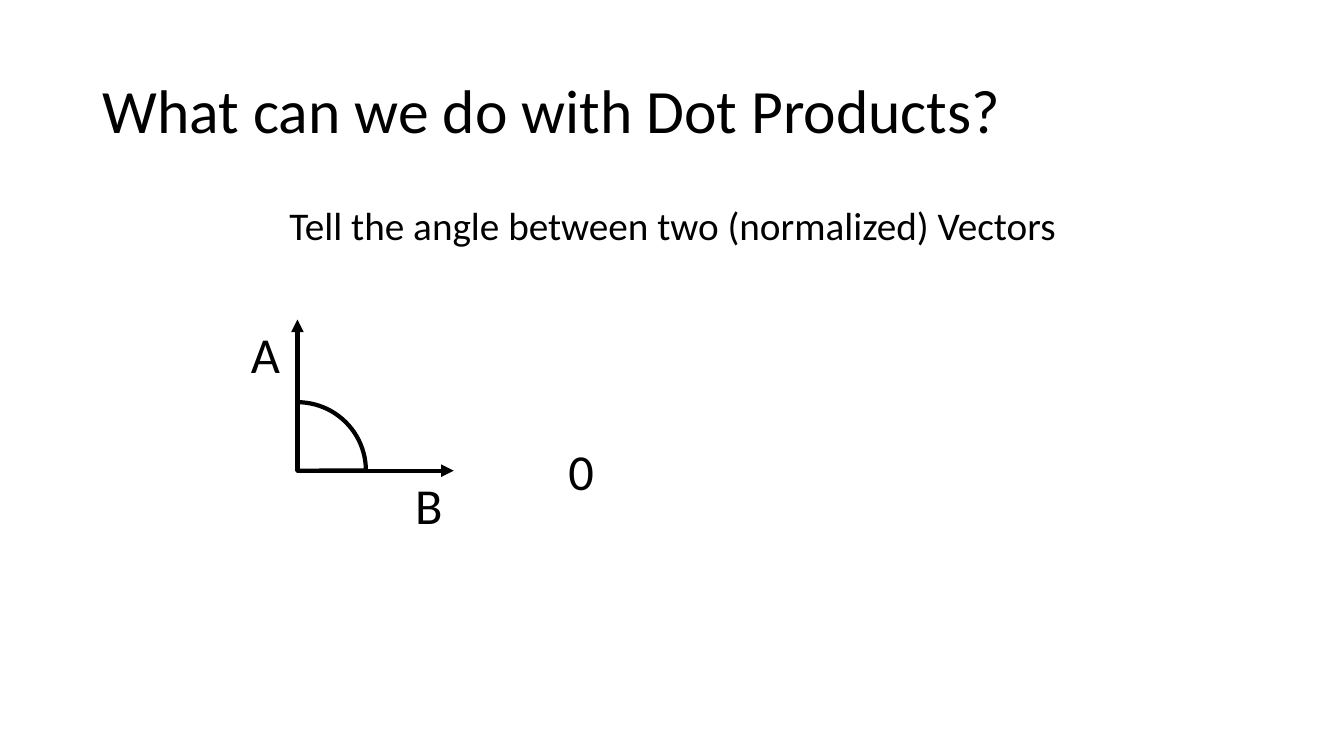
from dataclasses import dataclass

from lxml import etree
from pptx import Presentation
from pptx import util as u
from pptx.dml.color import RGBColor
from pptx.enum import shapes, text
from pptx.oxml.ns import qn

PX = 9144  # EMU per px, 100 px to the inch


@dataclass(frozen=True)
class Theme:
    font: str = "Calibri"
    ink: str = "000000"
    paper: str = "FFFFFF"
    title: int = 44
    body: int = 28
    label: int = 36
    stroke: int = 3


class SlideBuilder:
    def __init__(self, prs, theme):
        self.theme = theme
        self.ink = RGBColor.from_string(theme.ink)
        self.s = prs.slides.add_slide(prs.slide_layouts[6])
        fill = self.s.background.fill
        fill.solid()
        fill.fore_color.rgb = RGBColor.from_string(theme.paper)

    def text(self, words, box, size, anchor=text.MSO_ANCHOR.TOP, **paragraph):
        tf = self.s.shapes.add_textbox(*(v * PX for v in box)).text_frame
        tf.word_wrap = True
        tf.vertical_anchor = anchor
        p = tf.paragraphs[0]
        for name, value in paragraph.items():
            setattr(p, name, value)
        r = p.add_run()
        r.text = words
        for name, value in {"name": self.theme.font, "size": u.Pt(size)}.items():
            setattr(r.font, name, value)
        r.font.color.rgb = self.ink

    def outline(self, sp):
        sp.line.width = u.Pt(self.theme.stroke)
        sp.line.color.rgb = self.ink

    def arrow(self, start, end):
        ends = (v * PX for v in (*start, *end))
        sp = self.s.shapes.add_connector(shapes.MSO_CONNECTOR.STRAIGHT, *ends)
        self.outline(sp)
        ln = sp.line._get_or_add_ln()
        etree.SubElement(ln, qn("a:tailEnd"), type="triangle")
        etree.SubElement(ln.getparent(), qn("a:effectLst"))

    def pie(self, center, radius, angles):
        x, y = center
        box = (x - radius, y - radius, 2 * radius, 2 * radius)
        sp = self.s.shapes.add_shape(shapes.MSO_SHAPE.PIE, *(v * PX for v in box))
        sp.shadow.inherit = False
        sp.fill.background()
        self.outline(sp)
        for i, degrees in enumerate(angles):
            sp.adjustments[i] = degrees * 0.6  # 60000 units per degree


def main():
    prs = Presentation()
    prs.slide_width, prs.slide_height = 1333 * PX, 750 * PX
    theme = Theme()
    slide = SlideBuilder(prs, theme)

    # Title and statement
    slide.text("What can we do with Dot Products?", (92, 40, 1150, 145),
               theme.title, text.MSO_ANCHOR.MIDDLE, line_spacing=0.9)
    slide.text("Tell the angle between two (normalized) Vectors",
               (92, 200, 1150, 476), theme.body,
               alignment=text.PP_ALIGN.CENTER, line_spacing=0.9)

    # Perpendicular vectors and the angle between them
    corner = (295, 467)
    for tip in ((295, 317), (450, 467)):
        slide.arrow(corner, tip)
    slide.pie(corner, 68, (270.36, 359.72))

    # Vector names and the dot product
    for label, x, y in (("A", 239, 316), ("B", 402, 465), ("0", 554, 432)):
        slide.text(label, (x, y, 70, 71), theme.label)

    prs.save("out.pptx")


if __name__ == "__main__":
    main()
